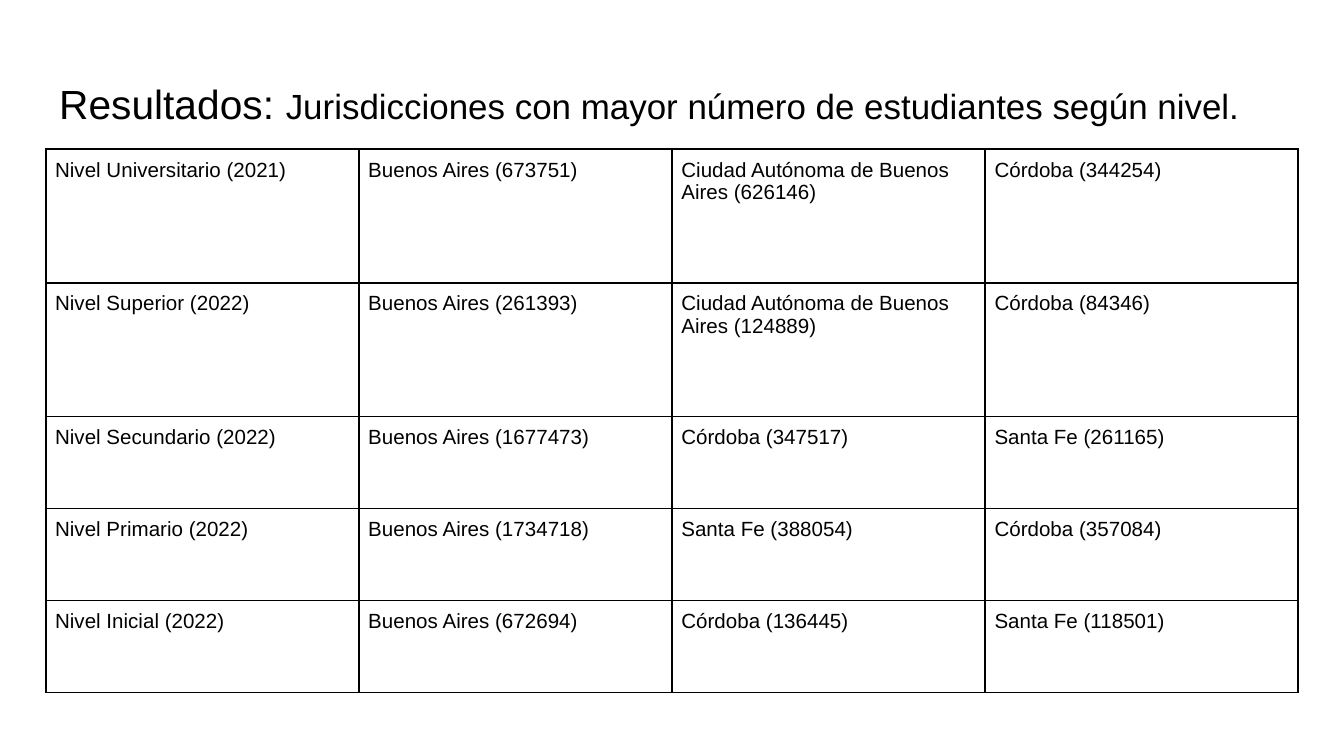
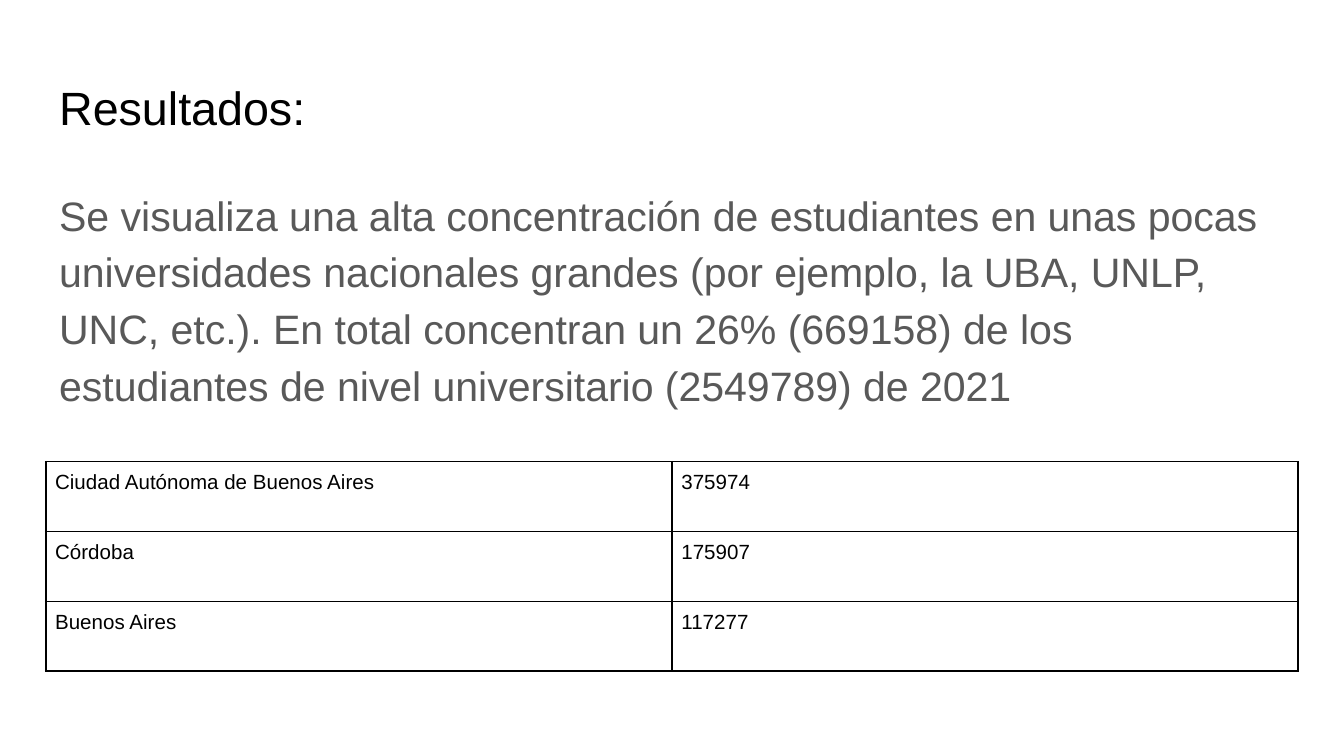
import pptx
import pptx.dml.color
import pptx.enum.text
import pptx.oxml.ns
import pptx.util
from lxml import etree

PX = 4572  # two hundred px to the inch
COLORS = {"page": "FFFFFF", "ink": "000000", "body": "595959"}
FONT = "Arial"
LEFT, WIDTH = 68, 1864
TITLE_TOP, TITLE_HEIGHT = 97, 125
TITLE_ONLY, TITLE_AND_BODY = 5, 1

LEVELS = [
    ["Nivel Universitario (2021)", "Buenos Aires (673751)",
     "Ciudad Autónoma de Buenos Aires (626146)", "Córdoba (344254)"],
    ["Nivel Superior (2022)", "Buenos Aires (261393)",
     "Ciudad Autónoma de Buenos Aires (124889)", "Córdoba (84346)"],
    ["Nivel Secundario (2022)", "Buenos Aires (1677473)",
     "Córdoba (347517)", "Santa Fe (261165)"],
    ["Nivel Primario (2022)", "Buenos Aires (1734718)",
     "Santa Fe (388054)", "Córdoba (357084)"],
    ["Nivel Inicial (2022)", "Buenos Aires (672694)",
     "Córdoba (136445)", "Santa Fe (118501)"],
]
UNIVERSITIES = [
    ["Ciudad Autónoma de Buenos Aires", "375974"],
    ["Córdoba", "175907"],
    ["Buenos Aires", "117277"],
]
FINDING = (
    "Se visualiza una alta concentración de estudiantes en unas pocas "
    "universidades nacionales grandes (por ejemplo, la UBA, UNLP, UNC, etc.). "
    "En total concentran un 26% (669158) de los estudiantes de nivel "
    "universitario (2549789) de 2021"
)


def px(length):
    return pptx.util.Emu(length * PX)


def rgb(name):
    return pptx.dml.color.RGBColor.from_string(COLORS[name])


def write(para, text, size, color="ink", line_spacing=None, space_after=0):
    """Append text to a left-aligned paragraph in the given format."""
    para.alignment = pptx.enum.text.PP_ALIGN.LEFT
    para.space_before = pptx.util.Pt(0)
    para.space_after = pptx.util.Pt(space_after)
    if line_spacing:
        para.line_spacing = line_spacing
    span = para.add_run()
    span.text = text
    span.font.name = FONT
    span.font.size = pptx.util.Pt(size)
    span.font.bold = False
    span.font.color.rgb = rgb(color)


def place(box, top, height):
    """Move a placeholder, set its insets and return its first paragraph."""
    box.left, box.top, box.width, box.height = map(px, (LEFT, top, WIDTH, height))
    frame = box.text_frame
    frame.margin_left = frame.margin_right = px(20)
    frame.margin_top = frame.margin_bottom = px(20)
    frame.vertical_anchor = pptx.enum.text.MSO_ANCHOR.TOP
    frame.auto_size = pptx.enum.text.MSO_AUTO_SIZE.NONE
    frame.word_wrap = True
    return frame.paragraphs[0]


def add_page(deck, layout, title_spans):
    page = deck.slides.add_slide(deck.slide_layouts[layout])
    page.background.fill.solid()
    page.background.fill.fore_color.rgb = rgb("page")
    para = place(page.shapes.title, TITLE_TOP, TITLE_HEIGHT)
    for text, size in title_spans:
        write(para, text, size)
    return page


def add_body(page, text, top, height):
    para = place(page.placeholders[1], top, height)
    write(para, text, 22, color="body", line_spacing=1.15, space_after=12)
    properties = para._p.get_or_add_pPr()
    properties.set("marL", "0")
    properties.set("indent", "0")
    etree.SubElement(properties, pptx.oxml.ns.qn("a:buNone"))


def add_borders(cell):
    properties = cell._tc.get_or_add_tcPr()
    for position, side in enumerate(("lnL", "lnR", "lnT", "lnB")):
        line = etree.Element(pptx.oxml.ns.qn(f"a:{side}"), w=str(pptx.util.Pt(1)))
        fill = etree.SubElement(line, pptx.oxml.ns.qn("a:solidFill"))
        etree.SubElement(fill, pptx.oxml.ns.qn("a:srgbClr"), val=COLORS["ink"])
        properties.insert(position, line)


def add_grid(page, rows, top, heights):
    """Add a bordered table with equal columns across the content width."""
    count = len(rows[0])
    table = page.shapes.add_table(
        len(rows), count, px(LEFT), px(top), px(WIDTH), px(sum(heights))).table
    table.first_row = table.horz_banding = False
    for column in table.columns:
        column.width = px(WIDTH // count)
    for row, height, texts in zip(table.rows, heights, rows):
        row.height = px(height)
        for cell, text in zip(row.cells, texts):
            cell.margin_left = cell.margin_right = px(14)
            cell.margin_top = cell.margin_bottom = px(14)
            cell.vertical_anchor = pptx.enum.text.MSO_ANCHOR.TOP
            cell.fill.background()
            add_borders(cell)
            write(cell.text_frame.paragraphs[0], text, 11)


def main():
    deck = pptx.Presentation()
    deck.slide_width, deck.slide_height = px(2000), px(1125)

    page = add_page(deck, TITLE_ONLY, [
        ("Resultados: ", 21.8),
        ("Jurisdicciones con mayor número de estudiantes según nivel.", 18.7),
    ])
    add_grid(page, LEVELS, 222, [199] * 2 + [137] * 3)

    page = add_page(deck, TITLE_AND_BODY, [("Resultados:", 25)])
    add_body(page, FINDING, 252, 747)
    add_grid(page, UNIVERSITIES, 687, [104] * 3)

    deck.save("out.pptx")


if __name__ == "__main__":
    main()
